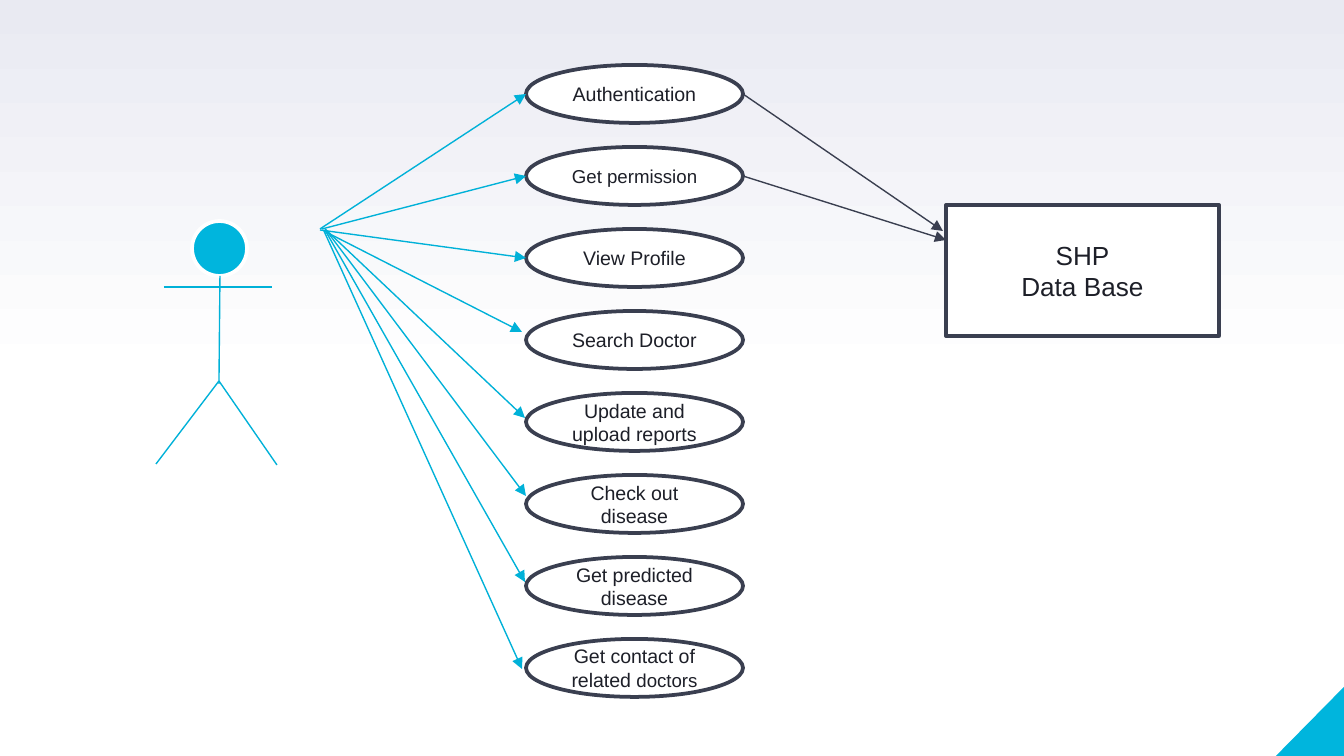
"""Build a use case slide linking a user to eight actions and a data base."""
from pptx import Presentation
from pptx.dml.color import RGBColor
from pptx.enum.shapes import MSO_CONNECTOR as Link, MSO_SHAPE as Shape
from pptx.enum.text import MSO_ANCHOR as Anchor, PP_ALIGN as Align
from pptx.oxml.ns import qn
from pptx.oxml.xmlchemy import OxmlElement
from pptx.util import Emu, Pt

SCALE = 914400 / 134.4
THEME = {
    "white": RGBColor.from_string("FFFFFF"),
    "haze": RGBColor.from_string("E9EAF2"),
    "cyan": RGBColor.from_string("00B5DD"),
    "stroke": RGBColor.from_string("00B1D8"),
    "slate": RGBColor.from_string("3A3F50"),
    "ink": RGBColor.from_string("1D1F28"),
    "font": "Arial",
    "small": 10,
    "label": 10.5,
    "title": 14,
    "outline": 2,
    "thin": 0.75,
}


def add_box(kind, bounds, fill, line=None, paragraphs=()):
    box = page.shapes.add_shape(kind, *[Emu(round(v * SCALE)) for v in bounds])
    box.shadow.inherit = False
    box.fill.solid()
    box.fill.fore_color.rgb = THEME[fill]
    if line:
        box.line.color.rgb = THEME[line]
        box.line.width = Pt(THEME["outline"])
    else:
        box.line.fill.background()
    frame = box.text_frame
    frame.word_wrap = True
    frame.vertical_anchor = Anchor.MIDDLE
    for index, runs in enumerate(paragraphs):
        para = frame.add_paragraph() if index else frame.paragraphs[0]
        para.alignment = Align.CENTER
        for text, size in runs:
            span = para.add_run()
            span.text = text
            span.font.color.rgb = THEME["ink"]
            for name, value in {"name": THEME["font"], "size": Pt(THEME[size])}.items():
                setattr(span.font, name, value)
    return box


def add_line(points, color, arrow=False):
    line = page.shapes.add_connector(Link.STRAIGHT, *[Emu(round(v * SCALE)) for v in points])
    line.line.color.rgb = THEME[color]
    line.line.width = Pt(THEME["thin"])
    properties = line._element.spPr
    if arrow:
        head = OxmlElement("a:tailEnd")
        head.set("type", "triangle")
        properties.find(qn("a:ln")).append(head)
    properties.append(OxmlElement("a:effectLst"))


deck = Presentation()
deck.slide_width, deck.slide_height = Emu(round(1344 * SCALE)), Emu(round(756 * SCALE))
page = deck.slides.add_slide(deck.slide_layouts[6])

backdrop = page.background.fill
backdrop.gradient()
backdrop.gradient_angle = 90
for stop, (position, color) in zip(backdrop.gradient_stops, [(0.5, "white"), (1, "haze")]):
    stop.position = position
    stop.color.rgb = THEME[color]

corner = add_box(Shape.RIGHT_TRIANGLE, (1276, 687, 68, 69), "cyan")
corner._element.spPr.find(qn("a:xfrm")).set("flipH", "1")

use_cases = [
    [("Authentication", "label")],
    [("Get permission", "small")],
    [("View Profile", "label")],
    [("Search Doctor", "label")],
    [("Update and upload reports", "label")],
    [("Check out disease", "label")],
    [("Get predicted disease", "label")],
    [("Get contact of related ", "label"), ("doctors", "small")],
]
for row, runs in enumerate(use_cases):
    add_box(Shape.OVAL, (526, 65 + 82 * row, 217, 58), "white", "slate", [runs])

add_box(Shape.OVAL, (192, 221, 55, 55), "cyan", "white")
body_lines = [
    (220, 276, 219, 384),
    (164, 287, 272, 287),
    (219, 381, 156, 464),
    (219, 381, 277, 465),
]
for points in body_lines:
    add_line(points, "stroke")

user_arrows = [
    (320, 229, 526, 94),
    (322, 229, 526, 176),
    (320, 230, 526, 258),
    (324, 231, 522, 332),
    (325, 229, 525, 418),
    (326, 230, 526, 496),
    (325, 230, 525, 582),
    (324, 231, 522, 669),
]
for points in user_arrows:
    add_line(points, "stroke", arrow=True)

add_box(Shape.RECTANGLE, (946, 205, 273, 131), "white", "slate",
        [[("SHP", "title")], [("Data Base", "title")]])
for points in [(743, 94, 943, 231), (743, 176, 946, 240)]:
    add_line(points, "slate", arrow=True)

deck.save("out.pptx")
